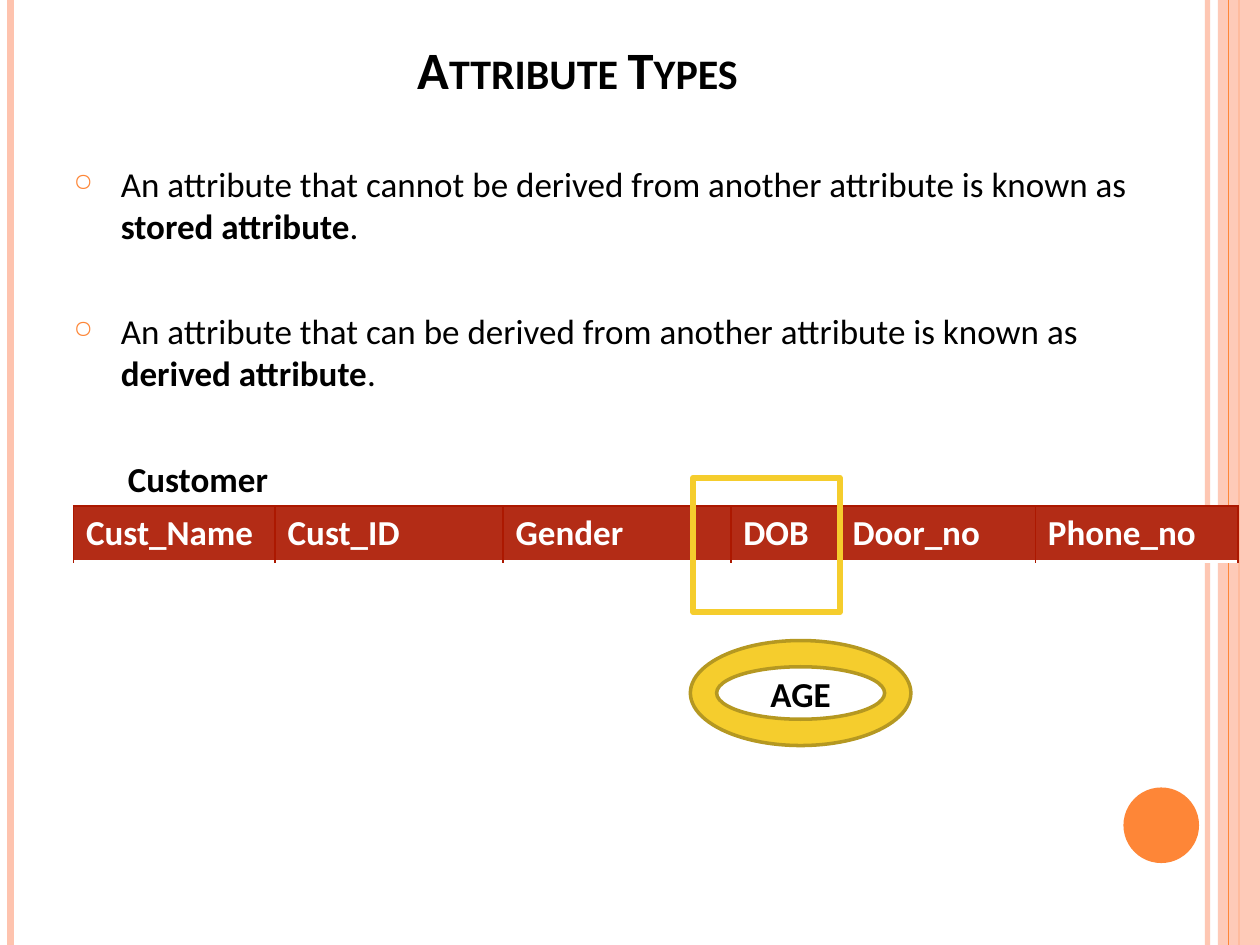
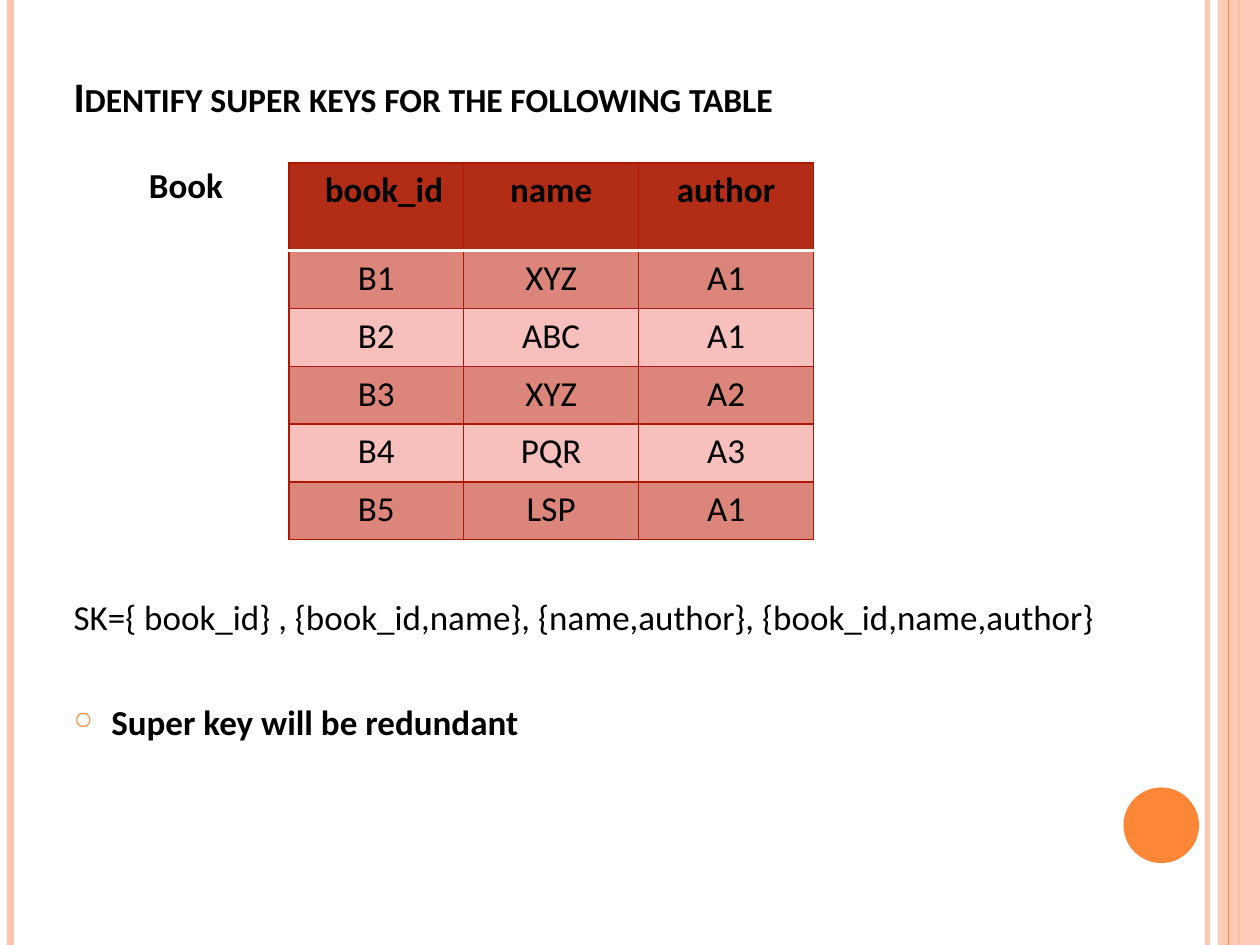
from dataclasses import dataclass
from lxml import etree
from pptx import Presentation, util as u
from pptx.dml.color import RGBColor
from pptx.enum import shapes, text
from pptx.oxml.ns import qn


@dataclass(frozen=True)
class Theme:
    font: str = "Calibri"
    ink: str = "000000"
    paper: str = "FFFFFF"
    peach: str = "FEC3AE"
    orange: str = "FE8637"
    brick: str = "B32C16"
    rule: str = "AC1800"
    band_dark: str = "DC857A"
    band_light: str = "F7C0BD"
    gold: str = "F5CD2D"
    gold_edge: str = "B59821"
    title: int = 30
    subtitle: int = 24
    body: int = 20
    gap: int = 36


THEME = Theme()
COLUMNS, ROWS = 120, 90
CELL = u.Inches(10) / COLUMNS
TIGHT = (1, 0.5)
LOOSE = (1.2, 0.6)
BULLET_INDENT = 4.5


def grid(count):
    return u.Emu(round(count * CELL))


@dataclass(frozen=True)
class Box:
    """An area measured in grid columns and rows."""
    left: float
    top: float
    width: float
    height: float

    def inner(self, left, top, width, height):
        return Box(self.left + left, self.top + top, width, height)

    def place(self):
        return [grid(n) for n in (self.left, self.top, self.width, self.height)]


PAGE = Box(0, 0, COLUMNS, ROWS)


def rgb(value):
    return RGBColor.from_string(value)


def add_element(parent, tag, **attributes):
    return etree.SubElement(parent, qn(tag), attributes)


def set_alpha(fill_parent, percent):
    color = fill_parent.find(".//" + qn("a:srgbClr"))
    add_element(color, "a:alpha", val=str(percent * 1000))


def style_span(span, size=THEME.body, bold=False, color=THEME.ink):
    span.font.name = THEME.font
    span.font.size = u.Pt(size)
    span.font.bold = bold
    span.font.color.rgb = rgb(color)


def set_insets(target, insets):
    target.margin_left = target.margin_right = grid(insets[0])
    target.margin_top = target.margin_bottom = grid(insets[1])


def add_text(page, box, paragraphs, insets=LOOSE, size=THEME.body,
             anchor=text.MSO_ANCHOR.TOP):
    """Each paragraph is a list of (words, bold) pairs."""
    frame = page.shapes.add_textbox(*box.place()).text_frame
    frame.word_wrap = True
    frame.vertical_anchor = anchor
    set_insets(frame, insets)
    for index, spans in enumerate(paragraphs):
        para = frame.add_paragraph() if index else frame.paragraphs[0]
        if index:
            para.space_before = u.Pt(THEME.gap)
        for words, bold in spans:
            span = para.add_run()
            span.text = words
            style_span(span, size, bold)
    return frame


def add_bullet(para, indent):
    properties = para._p.get_or_add_pPr()
    properties.set("marL", str(grid(indent)))
    properties.set("indent", str(-grid(indent)))
    color = add_element(properties, "a:buClr")
    add_element(color, "a:srgbClr", val=THEME.orange)
    add_element(properties, "a:buSzPct", val="70000")
    add_element(properties, "a:buChar", char="○")


def add_title(page, box, words, size, align):
    frame = add_text(page, box, [[(words, True)]], TIGHT, size,
                     text.MSO_ANCHOR.BOTTOM)
    para = frame.paragraphs[0]
    para.alignment = align
    para.runs[0].font._element.set("cap", "small")


def add_shape(page, kind, box, fill=None, edge=None, weight=0):
    shape = page.shapes.add_shape(kind, *box.place())
    shape.shadow.inherit = False
    if fill:
        shape.fill.solid()
        shape.fill.fore_color.rgb = rgb(fill)
    else:
        shape.fill.background()
    if edge:
        shape.line.color.rgb = rgb(edge)
        shape.line.width = u.Pt(weight)
    else:
        shape.line.fill.background()
    return shape


def add_upright(page, box, column, color, weight):
    """Draws a full-height line at the given column of the box."""
    x = grid(box.left + column)
    line = page.shapes.add_connector(shapes.MSO_CONNECTOR.STRAIGHT, x, grid(box.top),
                                     x, grid(box.top + box.height))
    line.line.color.rgb = rgb(color)
    line.line.width = u.Pt(weight)
    add_element(line._element.spPr, "a:effectLst")
    return line


def add_frame_decor(page, box):
    inner_line = add_upright(page, box, 115, THEME.peach, 3)
    set_alpha(inner_line._element.spPr, 93)
    add_upright(page, box, 1, THEME.peach, 4.5)
    add_upright(page, box, 118, THEME.orange, 1.5)
    band = add_shape(page, shapes.MSO_SHAPE.RECTANGLE,
                     box.inner(116, 0, 4, box.height), THEME.peach)
    set_alpha(band._element.spPr, 87)
    add_upright(page, box, 117, THEME.orange, 0.75)
    add_shape(page, shapes.MSO_SHAPE.OVAL, box.inner(107, 75, 7.2, 7.2), THEME.orange)


def add_borders(cell, **sides):
    properties = cell._tc.get_or_add_tcPr()
    for side in "LRTB":
        color, weight = sides.get(side, (THEME.rule, 1))
        line = add_element(properties, "a:ln" + side, w=str(u.Pt(weight)))
        add_element(add_element(line, "a:solidFill"), "a:srgbClr", val=color)


def add_grid_table(page, box, rows, widths, heights, head_color, align):
    """A table with a dark heading row, a white rule under it and banded rows."""
    table = page.shapes.add_table(len(rows), len(widths), *box.place()).table
    table.first_row = table.horz_banding = False
    for column, width in zip(table.columns, widths):
        column.width = grid(width)
    under_head = (THEME.paper, 2)
    bands = (THEME.band_light, THEME.band_dark)
    for r, values in enumerate(rows):
        table.rows[r].height = grid(heights[r])
        for c, value in enumerate(values):
            cell = table.cell(r, c)
            set_insets(cell, LOOSE)
            add_borders(cell, **({"B": under_head} if r == 0 else
                                 {"T": under_head} if r == 1 else {}))
            cell.fill.solid()
            cell.fill.fore_color.rgb = rgb(bands[r % 2] if r else THEME.brick)
            para = cell.text_frame.paragraphs[0]
            run = para.add_run()
            run.text = value
            para.alignment = align
            style_span(run, bold=r == 0, color=THEME.ink if r else head_color)
    return table


def add_definitions(page, box):
    kinds = (("cannot", "stored"), ("can", "derived"))
    frame = add_text(page, box, [
        [(f"An attribute that {verb} be derived from another attribute is known as ", False),
         (f"{kind} attribute", True), (".", False)] for verb, kind in kinds], TIGHT)
    for para in frame.paragraphs:
        add_bullet(para, BULLET_INDENT)


def add_customer_schema(page, box):
    """Customer columns, with the stored DOB boxed above the derived AGE."""
    add_text(page, box.inner(4, 0, 19, 5.25), [[("Customer", True)]])
    donut = add_shape(page, shapes.MSO_SHAPE.DONUT, box.inner(58.75, 18, 21, 10),
                      THEME.gold, THEME.gold_edge, 2)
    frame = donut.text_frame
    frame.text = "AGE"
    frame.vertical_anchor = text.MSO_ANCHOR.MIDDLE
    frame.paragraphs[0].alignment = text.PP_ALIGN.CENTER
    style_span(frame.paragraphs[0].runs[0], bold=True)
    names = ["Cust_Name", "Cust_ID", "Gender", "DOB", "Door_no", "Phone_no"]
    widths = (19.2, 21.7, 21.7, 10.4, 18.6, 19.3)
    add_grid_table(page, box.inner(0, 5.2, sum(widths), 5.3), [names], widths, [5.3],
                   THEME.paper, text.PP_ALIGN.LEFT)
    add_shape(page, shapes.MSO_SHAPE.RECTANGLE, box.inner(59, 2.5, 14, 12.8),
              edge=THEME.gold, weight=3.25)


def add_book_table(page, box):
    add_text(page, box.inner(0, 0, 14, 5.25), [[("Book", True)]])
    rows = [("book_id", "name", "author"),
            ("B1", "XYZ", "A1"), ("B2", "ABC", "A1"), ("B3", "XYZ", "A2"),
            ("B4", "PQR", "A3"), ("B5", "LSP", "A1")]
    heights = [8.4] + [5.5] * 5
    table = add_grid_table(page, box.inner(14.5, 0.5, 50, sum(heights)), rows,
                           [50 / 3] * 3, heights, THEME.ink, text.PP_ALIGN.CENTER)
    table.cell(0, 0).margin_left = grid(2.7)


def add_super_keys(page, box):
    keys = "SK={ book_id} , {book_id,name}, {name,author}, {book_id,name,author}"
    frame = add_text(page, box, [[(keys, False)],
                                 [("Super key will be redundant", True)]], TIGHT)
    add_bullet(frame.paragraphs[1], 3.6)


def attribute_types(page):
    add_frame_decor(page, PAGE)
    add_title(page, PAGE.inner(6, 2, 98, 8), "Attribute Types", THEME.title,
              text.PP_ALIGN.CENTER)
    add_definitions(page, PAGE.inner(6, 15, 106, 25))
    add_customer_schema(page, PAGE.inner(7, 43, 111, 28))


def super_keys(page):
    add_frame_decor(page, PAGE)
    add_title(page, PAGE.inner(6, 2, 98, 10), "Identify super keys for the following table",
              THEME.subtitle, text.PP_ALIGN.LEFT)
    add_book_table(page, PAGE.inner(13, 15, 65, 37))
    add_super_keys(page, PAGE.inner(6, 56.2, 106, 16))


def main():
    deck = Presentation()
    deck.slide_width, deck.slide_height = grid(COLUMNS), grid(ROWS)
    for build in (attribute_types, super_keys):
        build(deck.slides.add_slide(deck.slide_layouts[6]))
    deck.save("out.pptx")


if __name__ == "__main__":
    main()
